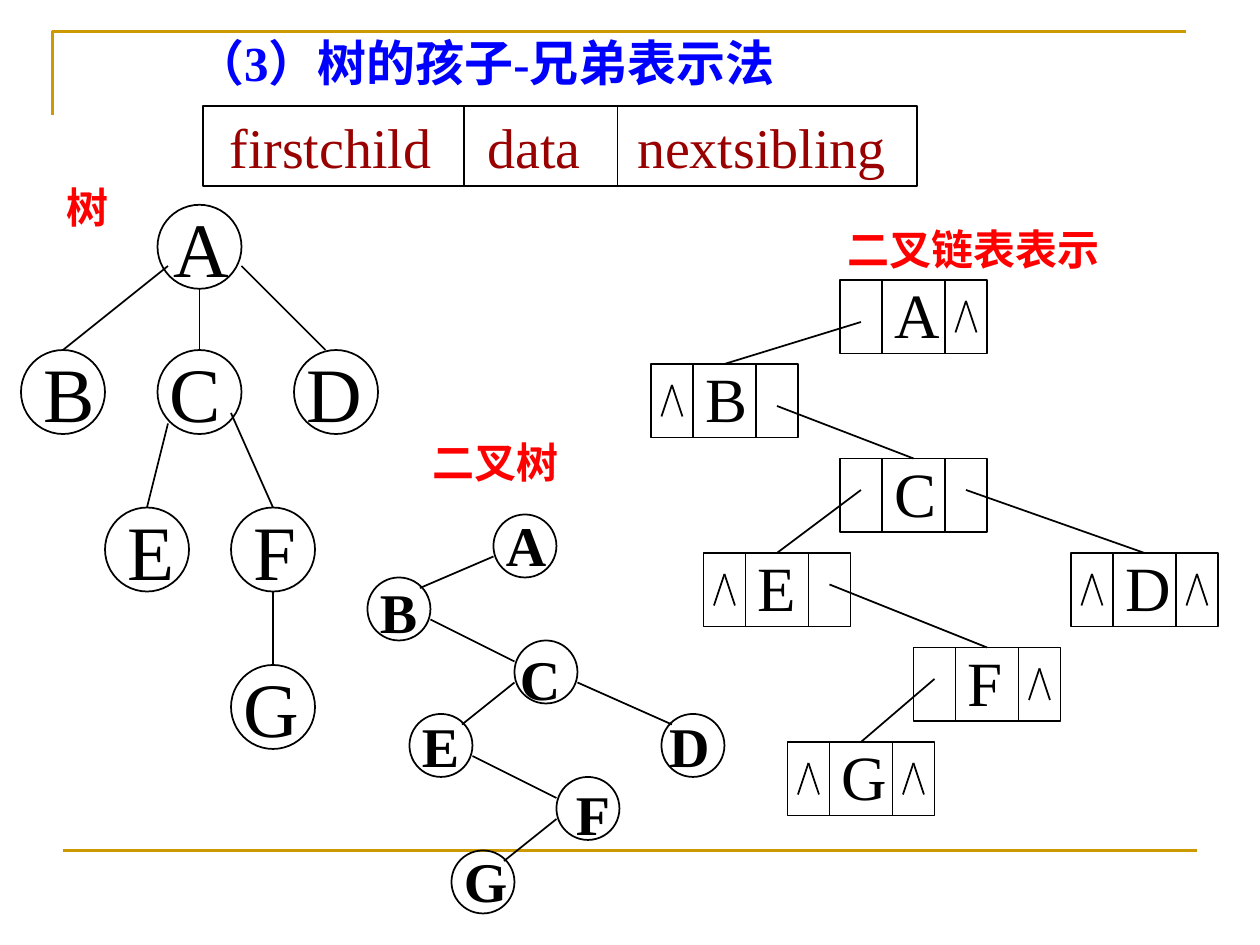
from typing import NamedTuple

from lxml.etree import SubElement
from pptx import Presentation
from pptx.dml.color import RGBColor
from pptx.enum.shapes import MSO_CONNECTOR, MSO_SHAPE
from pptx.enum.text import MSO_ANCHOR, PP_ALIGN
from pptx.oxml.ns import qn
from pptx.util import Pt

BLACK, RED, BLUE, MAROON, GOLD = "000000", "FF0000", "0000FF", "990000", "CC9900"
FONT = "Times New Roman"
TREE_DIAMETER, BINARY_DIAMETER = 48, 36
RECORD_WIDTH, RECORD_HEIGHT = 84, 42
DIVIDERS = (24, 60)
CHILD_CENTER, SIBLING_CENTER = 12, 72


class Node(NamedTuple):
    letter: str
    left: float
    top: float
    letter_shift: float = 0


class Edge(NamedTuple):
    x1: float
    y1: float
    x2: float
    y2: float


class Record(NamedTuple):
    letter: str
    left: float
    top: float
    pointer_depth: float
    child: str = ""
    sibling: str = ""


class Line(NamedTuple):
    text: str
    stops: tuple = ()


TREE = [
    Node("A", 90, 117, 2), Node("B", 12, 200, 6), Node("C", 90, 200), Node("D", 168, 200),
    Node("E", 60, 290, 6), Node("F", 132, 290, 6), Node("G", 132, 380),
]
TREE_EDGES = [
    Edge(138, 152, 186, 200), Edge(96, 152, 36, 200), Edge(114, 165, 114, 200),
    Edge(96, 242, 84, 290), Edge(132, 236, 156, 290), Edge(156, 338, 156, 380),
]
BINARY_NODES = [(282, 294), (210, 330), (294, 366), (234, 408), (378, 408), (318, 444), (258, 486)]
BINARY_LINES = [
    Line("\tA", (72,)), Line("B"), Line("\tC", (80,)),
    Line("\tE\tD", (24, 165.3)), Line("\tF", (112,)), Line("\tG", (48,)),
]
BINARY_EDGES = [
    Edge(282, 318, 240, 336), Edge(246, 354, 294, 378), Edge(294, 390, 264, 414),
    Edge(330, 390, 384, 414), Edge(270, 432, 318, 456), Edge(318, 468, 288, 492),
]
RECORDS = [
    Record("A", 480, 160, 24, child="B"),
    Record("B", 372, 208, 24, sibling="C"),
    Record("C", 480, 262, 18, child="E", sibling="D"),
    Record("E", 402, 316, 18, sibling="F"),
    Record("D", 612, 316, 18),
    Record("F", 522, 370, 18, child="G"),
    Record("G", 450, 424, 18),
]


def color(code: str) -> RGBColor:
    return RGBColor.from_string(code)


def outline(shape) -> None:
    shape.shadow.inherit = False
    shape.fill.background()
    shape.line.color.rgb = color(BLACK)
    shape.line.width = Pt(1)


def add_outline(page, kind, left: float, top: float, width: float, height: float):
    shape = page.shapes.add_shape(kind, Pt(left), Pt(top), Pt(width), Pt(height))
    outline(shape)
    return shape


def add_line(page, edge: Edge, code: str = BLACK, width: float = 1):
    line = page.shapes.add_connector(MSO_CONNECTOR.STRAIGHT, *(Pt(value) for value in edge))
    line.line.color.rgb = color(code)
    line.line.width = Pt(width)
    SubElement(line._element.spPr, qn("a:effectLst"))
    return line


def write(frame, lines: list[Line], size: float, code: str, bold: bool, align) -> None:
    frame.word_wrap = True
    frame.vertical_anchor = MSO_ANCHOR.TOP
    for index, line in enumerate(lines):
        para = frame.add_paragraph() if index else frame.paragraphs[0]
        para.alignment = align
        para.line_spacing = Pt(size * 1.2)
        if line.stops:
            stops = SubElement(para._p.get_or_add_pPr(), qn("a:tabLst"))
            for stop in line.stops:
                SubElement(stops, qn("a:tab"), pos=str(Pt(stop)), algn="l")
        span = para.add_run()
        span.text = line.text
        span.font.name = FONT
        span.font.size = Pt(size)
        span.font.bold = bold
        span.font.color.rgb = color(code)


def add_text(page, lines: list[Line], *, left: float, top: float, width: float, height: float,
             size: float, code: str = BLACK, bold: bool = False, align=PP_ALIGN.LEFT) -> None:
    box = page.shapes.add_textbox(Pt(left), Pt(top), Pt(width), Pt(height))
    write(box.text_frame, lines, size, code, bold, align)


def draw_frame(page) -> None:
    builder = page.shapes.build_freeform(Pt(30), Pt(66))
    builder.add_line_segments([(Pt(30), Pt(18)), (Pt(678), Pt(18))], close=False)
    corner = builder.convert_to_shape()
    outline(corner)
    corner.line.color.rgb = color(GOLD)
    corner.line.width = Pt(1.5)
    add_line(page, Edge(36, 486, 684, 486), GOLD, 1.5)


def draw_header(page) -> None:
    header = add_outline(page, MSO_SHAPE.RECTANGLE, 116, 60.5, 408, 46)
    fields = [Line("\tfirstchild\tdata\tnextsibling", (8, 155.5, 241))]
    write(header.text_frame, fields, 32, MAROON, False, PP_ALIGN.LEFT)
    for x in (265, 352.8):
        add_line(page, Edge(x, 60.5, x, 107))


def draw_tree(page) -> None:
    for node in TREE:
        add_outline(page, MSO_SHAPE.OVAL, node.left, node.top, TREE_DIAMETER, TREE_DIAMETER)
        add_text(page, [Line(node.letter)], left=node.left + node.letter_shift,
                 top=node.top - 6, width=48, height=60, size=44)
    for edge in TREE_EDGES:
        add_line(page, edge)


def draw_binary_tree(page) -> None:
    add_text(page, BINARY_LINES, left=210, top=288, width=205, height=238, size=32, bold=True)
    for left, top in BINARY_NODES:
        add_outline(page, MSO_SHAPE.OVAL, left, top, BINARY_DIAMETER, BINARY_DIAMETER)
    for edge in BINARY_EDGES:
        add_line(page, edge)


def draw_record(page, record: Record):
    left, top = record.left, record.top
    cell = add_outline(page, MSO_SHAPE.RECTANGLE, left, top, RECORD_WIDTH, RECORD_HEIGHT)
    for offset in DIVIDERS:
        add_line(page, Edge(left + offset, top, left + offset, top + RECORD_HEIGHT))
    for target, offset in ((record.child, CHILD_CENTER), (record.sibling, SIBLING_CENTER)):
        if not target:
            x = left + offset
            for reach in (-6, 6):
                add_line(page, Edge(x, top + 12, x + reach, top + 30))
    add_text(page, [Line(record.letter)], left=left + DIVIDERS[0], top=top - 6,
             width=36, height=50, size=36)
    return cell


def draw_linked_list(page) -> None:
    cells = {record.letter: draw_record(page, record) for record in RECORDS}
    for record in RECORDS:
        for target, offset in ((record.child, CHILD_CENTER), (record.sibling, SIBLING_CENTER)):
            if target:
                x, y = record.left + offset, record.top + record.pointer_depth
                add_line(page, Edge(x, y, x, y)).end_connect(cells[target], 0)


def main() -> None:
    deck = Presentation()
    deck.slide_width, deck.slide_height = Pt(720), Pt(540)
    page = deck.slides.add_slide(deck.slide_layouts[6])
    draw_frame(page)
    draw_tree(page)
    draw_binary_tree(page)
    draw_linked_list(page)
    for label, left, top, width in (("二叉树", 240, 246, 120), ("树", 31, 100, 60),
                                    ("二叉链表表示", 477, 124, 214)):
        add_text(page, [Line(label)], left=left, top=top, width=width, height=36,
                 size=24, code=RED, bold=True)
    draw_header(page)
    add_text(page, [Line("（3）树的孩子-兄弟表示法")], left=31, top=15, width=492, height=41,
             size=28, code=BLUE, bold=True, align=PP_ALIGN.CENTER)
    deck.save("out.pptx")


if __name__ == "__main__":
    main()
